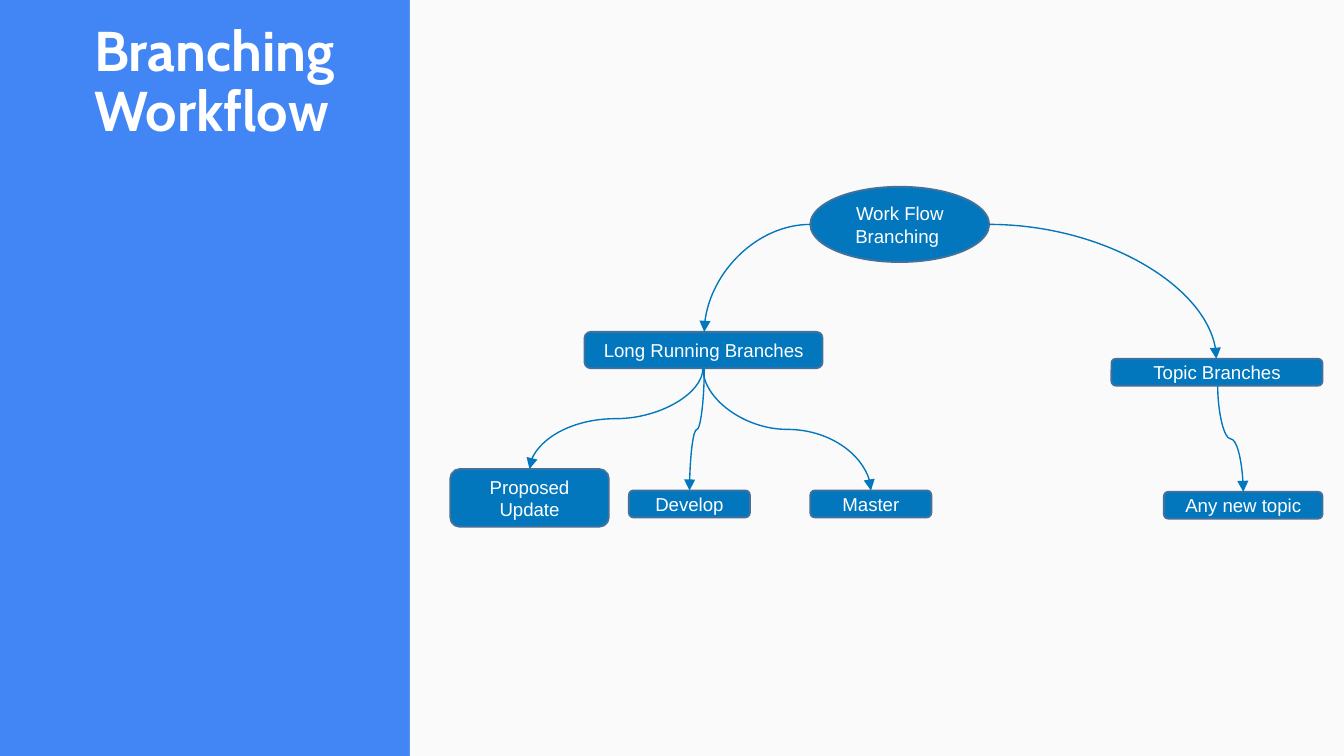
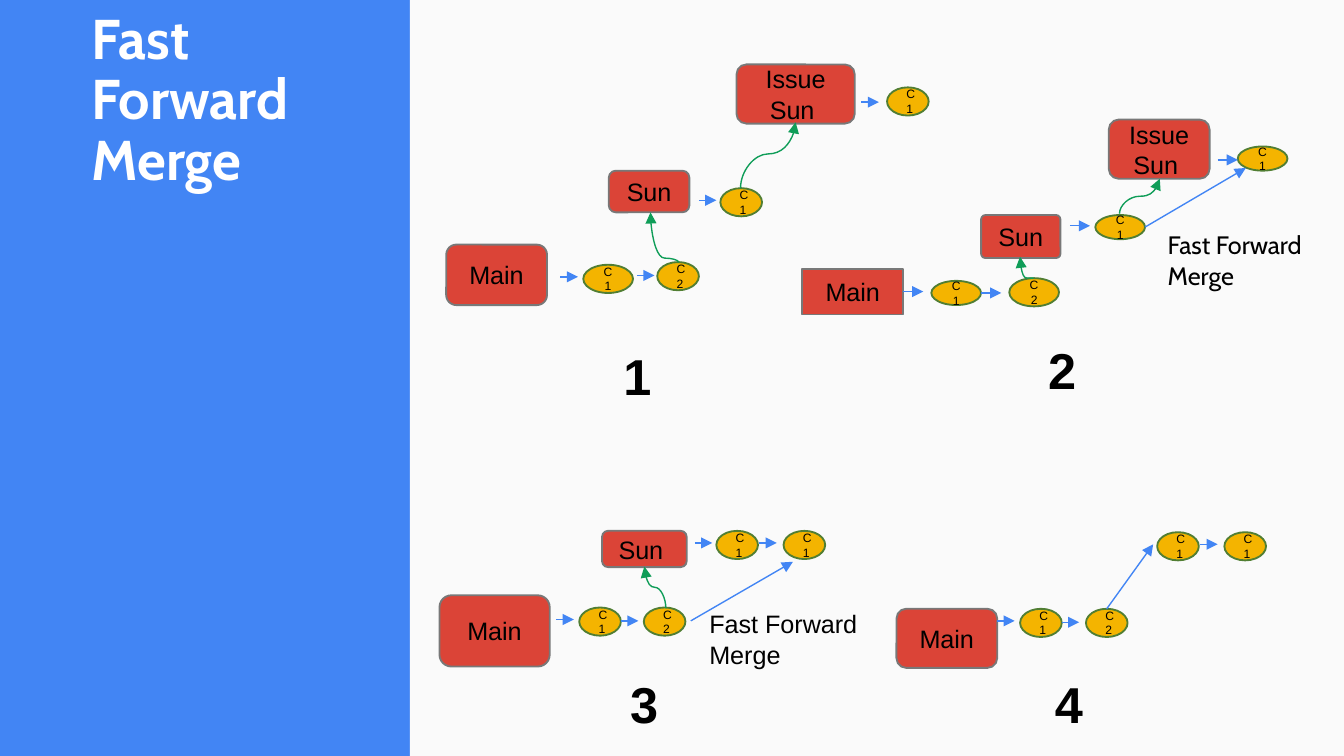
from lxml import etree
from pptx import Presentation
from pptx.dml.color import RGBColor
from pptx.enum.shapes import MSO_CONNECTOR, MSO_SHAPE
from pptx.enum.text import MSO_ANCHOR, MSO_AUTO_SIZE, PP_ALIGN
from pptx.oxml.ns import qn
from pptx.util import Inches, Pt

RECT, ROUND, OVAL = MSO_SHAPE.RECTANGLE, MSO_SHAPE.ROUNDED_RECTANGLE, MSO_SHAPE.OVAL
LINE, CURVE = MSO_CONNECTOR.STRAIGHT, MSO_CONNECTOR.CURVE
TOP, MID = MSO_ANCHOR.TOP, MSO_ANCHOR.MIDDLE
LEFT, CENTER = PP_ALIGN.LEFT, PP_ALIGN.CENTER
FIXED = MSO_AUTO_SIZE.NONE

WIDE = 10
HIGH = WIDE * 9 / 16
COLS = 100  # square grid cells across the slide
BLUE, PALE, WHITE, BLACK = "4285F4", "FAFAFA", "FFFFFF", "000000"
DEEP, GREEN = "0277BD", "0F9D58"
BAND = 30.5  # columns of the blue title band

# Node styles: fill, outline, font size, font colour
TREE = (DEEP, "42719B", 10, WHITE)
BRANCH = ("DB4437", "787878", 13.5, BLACK)
COMMIT = ("F4B400", "517E33", 6.5, BLACK)


def color(code):
    return RGBColor.from_string(code)


def grid(cells):
    return Inches(round(cells * WIDE / COLS, 2))


def shift(box, place):
    """Move grid places (x, y pairs) from the box to the slide."""
    return [n + box[i % 2] for i, n in enumerate(place)]


def write(shape, text, size, tint, font="Arial", bold=False,
          align=LEFT, anchor=TOP, space=None):
    frame = shape.text_frame
    frame.text = text
    setup = {"word_wrap": True, "auto_size": FIXED, "vertical_anchor": anchor,
             "margin_left": Inches(0.1), "margin_right": Inches(0.1),
             "margin_top": Inches(0.05), "margin_bottom": Inches(0.05)}
    for name, value in setup.items():
        setattr(frame, name, value)
    for para in frame.paragraphs:
        para.alignment = align
        para.line_spacing = space
        for run in para.runs:
            for name, value in {"name": font, "size": Pt(size), "bold": bold}.items():
                setattr(run.font, name, value)
            run.font.color.rgb = color(tint)


def node(slide, kind, place, text, style, adj=0.167):
    fill, edge, size, tint = style
    shape = slide.shapes.add_shape(kind, *map(grid, place))
    shape.shadow.inherit = False
    shape.fill.solid()
    shape.fill.fore_color.rgb = color(fill)
    shape.line.color.rgb = color(edge)
    shape.line.width = Pt(1)
    if kind == ROUND:
        shape.adjustments[0] = adj
    write(shape, text, size, tint, align=CENTER, anchor=MID)
    return shape


def label(slide, place, text, **style):
    box = slide.shapes.add_textbox(*map(grid, place))
    write(box, text, tint=BLACK, **style)


def link(slide, kind, ends, tint):
    """Draw a connector with an arrowhead at its far end."""
    line = slide.shapes.add_connector(kind, *map(grid, ends))
    line.line.color.rgb = color(tint)
    line.line.width = Pt(0.75)
    props = line._element.spPr
    etree.SubElement(props.find(qn("a:ln")), qn("a:tailEnd"), type="triangle")
    etree.SubElement(props, qn("a:effectLst"))
    return line


def bend(slide, ends, tint):
    """Quarter curve that leaves sideways and arrives upright."""
    line = link(slide, CURVE, ends, tint)
    line._element.spPr.find(qn("a:prstGeom")).set("prst", "curvedConnector2")


def sway(slide, ends, tint, adj=0.5):
    """S curve that leaves and arrives upright: a sideways one, turned."""
    x1, y1, x2, y2 = ends
    mid_x, mid_y = (x1 + x2) / 2, (y1 + y2) / 2
    half_w, half_h = abs(y2 - y1) / 2, abs(x2 - x1) / 2
    if (x2 > x1) == (y2 > y1):
        half_w = -half_w
    line = link(slide, CURVE, (mid_x - half_w, mid_y - half_h,
                               mid_x + half_w, mid_y + half_h), tint)
    props = line._element.spPr
    turn = 90 if x2 < x1 else 270
    props.find(qn("a:xfrm")).set("rot", str(turn * 60000))
    geom = props.find(qn("a:prstGeom"))
    guides = geom.find(qn("a:avLst"))
    if guides is None:
        guides = etree.SubElement(geom, qn("a:avLst"))
    etree.SubElement(guides, qn("a:gd"), name="adj1", fmla=f"val {round(adj * 100000)}")


def base(deck, text, place, anchor):
    """Slide with the title band and the pale work area."""
    slide = deck.slides.add_slide(deck.slide_layouts[5])
    area = slide.shapes.add_shape(RECT, grid(BAND), 0, grid(COLS - BAND), Inches(HIGH))
    area.shadow.inherit = False
    area.fill.solid()
    area.fill.fore_color.rgb = color(PALE)
    area.line.fill.background()
    title = slide.shapes.title
    for name, cells in zip(("left", "top", "width", "height"), place):
        setattr(title, name, grid(cells))
    write(title, text, 30, WHITE, "Cabin", True, anchor=anchor, space=0.9)
    return slide


# Branch tree: name, kind, place in the box
NODES = [
    ("Work Flow Branching ", OVAL, (27.3, 0.9, 13.3, 5.6)),
    ("Long Running Branches", ROUND, (10.5, 11.7, 17.7, 2.7)),
    ("Master", ROUND, (27.3, 23.5, 9, 2)),
    ("Develop", ROUND, (13.8, 23.5, 9, 2)),
    ("Proposed Update", ROUND, (0.5, 21.9, 11.8, 4.3)),
    ("Topic Branches", ROUND, (49.7, 13.7, 15.7, 2)),
    ("Any new topic", ROUND, (53.6, 23.6, 11.8, 2)),
]
ROOT = NODES[0][0]
KIDS = {"Long Running Branches": ("Master", "Develop", "Proposed Update"),
        "Topic Branches": ("Any new topic",)}


def tree(slide, box):
    spots = {}
    for name, kind, place in NODES:
        x, y = shift(box, place[:2])
        spots[name] = (x, y, *place[2:])
        node(slide, kind, spots[name], name, TREE)
    x, y, w, h = spots[ROOT]
    for name, kids in KIDS.items():
        left, top, wide, tall = spots[name]
        mid = left + wide / 2
        side = x if mid < x else x + w
        bend(slide, (side, y + h / 2, mid, top), DEEP)
        for kid in kids:
            a, b, c, _ = spots[kid]
            sway(slide, (mid, top + tall, a + c / 2, b), DEEP)


# Merge stages, each placed in its own box.
# reds: text, place, corner; dots: text, place; steps: short arrows of one length;
# paths: long arrows; curves: ends, bend; joins: (link, node, site)
STAGES = [
    dict(box=(33, 4), number=("1", 12.4, 21.2), step=1.3,
         reds=[("Main", (0.2, 14.2, 7.5, 4.5), 0.167),
               ("Sun ", (12.3, 8.7, 6, 3.1), 0.167),
               ("Issue\nSun ", (21.8, 0.8, 8.8, 4.4), 0.167)],
         dots=[("C1", (10.4, 15.7, 3.7, 2.1)), ("C2", (15.9, 15.5, 3.1, 2.1)),
               ("C1", (20.6, 10, 3.1, 2.1)), ("C1", (33, 2.5, 3.1, 2.1))],
         steps=[(8.7, 16.6), (14.4, 16.5), (19, 10.9), (31.1, 3.6)],
         curves=[((17.5, 15.5, 15.4, 11.8), 0.08), ((22.1, 10, 26.2, 5.1), 0.52)]),
    dict(box=(59, 8), number=("2", 18, 16.7), step=1.5,
         reds=[("Main", (0.7, 12, 7.5, 3.4), 0),
               ("Sun ", (14, 8, 5.9, 3.2), 0.1),
               ("Issue\vSun ", (23.5, 0.9, 7.5, 4.4), 0.167)],
         dots=[("C1", (10.3, 12.9, 3.7, 1.8)), ("C2", (16.1, 12.7, 3.7, 2.1)),
               ("C1", (22.5, 8, 3.7, 1.8)), ("C1", (33.1, 2.9, 3.7, 1.8))],
         steps=[(8.2, 13.7), (14, 13.8), (20.6, 8.8), (31.6, 3.9)],
         paths=[(26.2, 8.9, 33.7, 4.5)],
         curves=[((17.9, 12.7, 16.9, 11.1), 0.01), ((24.3, 8, 27.3, 5.3), 0.5)],
         joins=[(0, 0, 3)], note=((26.9, 8.6), 2.7, "Cabin")),
    dict(box=(32, 39), number=("3", 13.9, 10.6), step=1.3,
         reds=[("Main", (0.7, 5.3, 8.2, 5.3), 0.167),
               ("Sun ", (12.8, 0.5, 6.3, 2.7), 0.167)],
         dots=[("C1", (11.1, 6.2, 3.1, 2.1)), ("C2", (15.9, 6.2, 3.1, 2.1)),
               ("C1", (21.3, 0.5, 3.1, 2.1)), ("C1", (26.3, 0.5, 3.1, 2.1))],
         steps=[(9.4, 7.1), (14.2, 7.2), (19.7, 1.4), (24.5, 1.4)],
         paths=[(19.4, 7.2, 27, 2.8)],
         curves=[((17.5, 6.2, 16, 3.2), 0.5)],
         note=((19.8, 5.8), 5.6, "Arial")),
    dict(box=(66, 39), number=("4", 11.5, 10.6), step=1.3,
         reds=[("Main", (0.7, 6.3, 7.5, 4.4), 0.167)],
         dots=[("C1", (9.9, 6.3, 3.1, 2.1)), ("C2", (14.8, 6.3, 3.1, 2.1)),
               ("C1", (20.1, 0.6, 3.1, 2.1)), ("C1", (25.1, 0.6, 3.1, 2.1))],
         steps=[(8.2, 7.2), (13, 7.3), (23.3, 1.5)],
         paths=[(16.3, 6.3, 19.8, 1.5)],
         joins=[(3, 2, 0)]),
]
TEXT_W, NUM_H = 14.9, 4.5


def stage(slide, data):
    box = data["box"]
    # Branches and commits
    nodes = []
    for text, place, adj in data["reds"]:
        spot = (*shift(box, place[:2]), *place[2:])
        nodes.append(node(slide, ROUND, spot, text, BRANCH, adj))
    for text, place in data["dots"]:
        spot = (*shift(box, place[:2]), *place[2:])
        nodes.append(node(slide, OVAL, spot, text, COMMIT))
    # Arrows
    routes = [(x, y, x + data["step"], y) for x, y in data["steps"]]
    routes += data.get("paths", [])
    links = [link(slide, LINE, shift(box, ends), BLUE) for ends in routes]
    for line, part, site in data.get("joins", []):
        links[line].begin_connect(nodes[part], site)
    for ends, adj in data.get("curves", []):
        sway(slide, shift(box, ends), GREEN, adj)
    # Captions
    if "note" in data:
        place, tall, font = data["note"]
        label(slide, (*shift(box, place), TEXT_W, tall), "Fast Forward Merge",
              size=13.5, font=font)
    text, *place = data["number"]
    label(slide, (*shift(box, place), TEXT_W, NUM_H), text, size=27, bold=True)


def main():
    deck = Presentation()
    deck.slide_width, deck.slide_height = Inches(WIDE), Inches(HIGH)
    back = deck.slide_master.background.fill
    back.solid()
    back.fore_color.rgb = color(BLUE)

    flow = base(deck, "Branching Workflow", (6, 1.2, 27.5, 13.3), TOP)
    tree(flow, (33, 13))

    merge = base(deck, "Fast Forward Merge", (5.8, -1.4, 22.1, 17.9), MID)
    for data in STAGES:
        stage(merge, data)
    deck.save("out.pptx")


if __name__ == "__main__":
    main()
